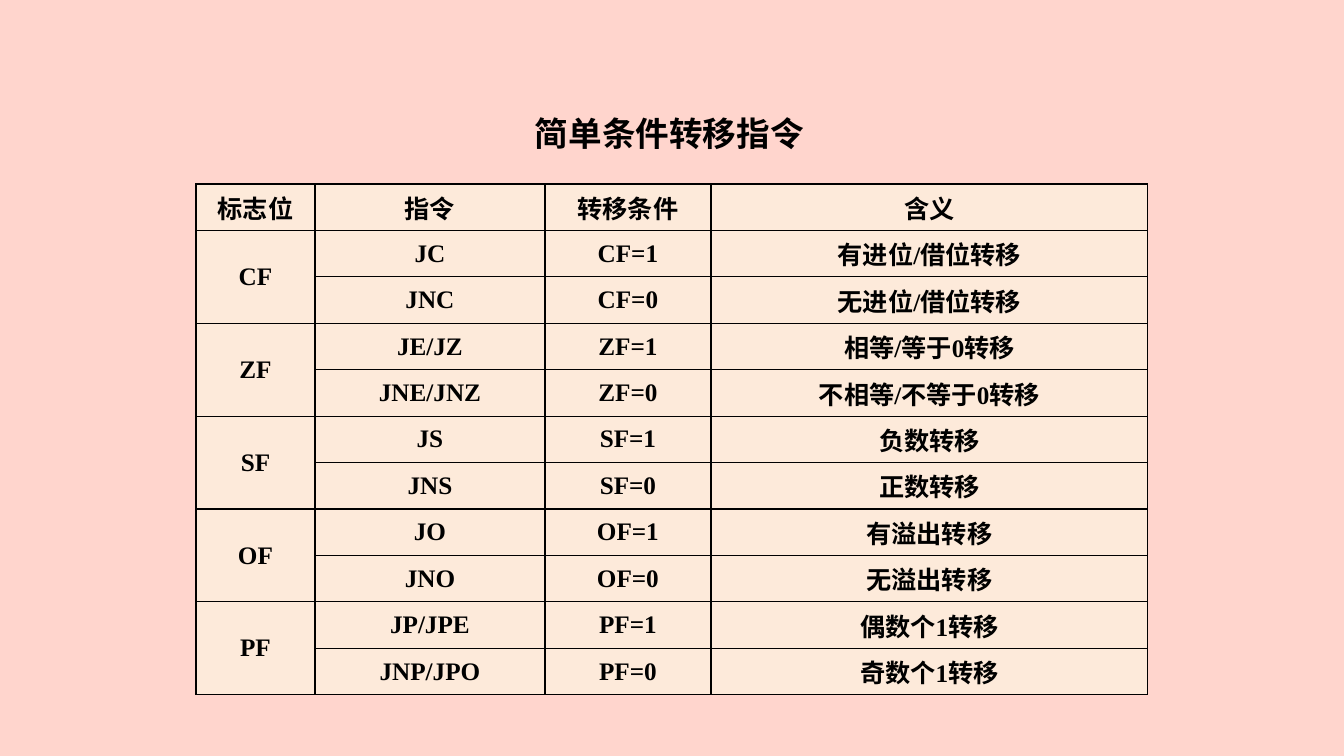
from lxml.etree import SubElement
from pptx import Presentation
from pptx.dml.color import RGBColor
from pptx.enum.text import MSO_ANCHOR, MSO_AUTO_SIZE, PP_ALIGN
from pptx.oxml.ns import qn
from pptx.util import Emu, Pt

EMU_PER_PX = 914400 / 100.8
BLACK = "000000"
PINK = "FFD5CD"
CREAM = "FDEADA"

COLUMN_WIDTHS = [119, 230, 166, 437]
HEADERS = ["标志位", "指令", "转移条件", "含义"]
FLAGS = [
    ("CF", ("JC", "有进位/借位转移"), ("JNC", "无进位/借位转移")),
    ("ZF", ("JE/JZ", "相等/等于0转移"), ("JNE/JNZ", "不相等/不等于0转移")),
    ("SF", ("JS", "负数转移"), ("JNS", "正数转移")),
    ("OF", ("JO", "有溢出转移"), ("JNO", "无溢出转移")),
    ("PF", ("JP/JPE", "偶数个1转移"), ("JNP/JPO", "奇数个1转移")),
]


def px(n):
    return Emu(round(n * EMU_PER_PX))


def rgb(value):
    return RGBColor.from_string(value)


def add_run(p, text, size, font):
    r = p.add_run()
    r.text = text
    r.font.size = Pt(size)
    r.font.name = font
    r.font.bold = True
    r.font.color.rgb = rgb(BLACK)


def add_title(s, text, left, top, width, height):
    tf = s.shapes.add_textbox(px(left), px(top), px(width), px(height)).text_frame
    tf.word_wrap = False
    tf.auto_size = MSO_AUTO_SIZE.SHAPE_TO_FIT_TEXT
    add_run(tf.paragraphs[0], text, 24, "Calibri")


def add_borders(cell):
    tc_pr = cell._tc.get_or_add_tcPr()
    for side in ("lnL", "lnR", "lnT", "lnB"):
        ln = SubElement(tc_pr, qn(f"a:{side}"), w=str(Pt(1)))
        fill = SubElement(ln, qn("a:solidFill"))
        SubElement(fill, qn("a:srgbClr"), val=BLACK)


def style_cell(cell, text):
    add_borders(cell)
    cell.fill.solid()
    cell.fill.fore_color.rgb = rgb(CREAM)
    cell.vertical_anchor = MSO_ANCHOR.MIDDLE
    p = cell.text_frame.paragraphs[0]
    p.alignment = PP_ALIGN.CENTER
    if text:
        add_run(p, text, 18, "Times New Roman")


def table_rows():
    rows = [HEADERS]
    for flag, when_set, when_clear in FLAGS:
        rows.append([flag, when_set[0], f"{flag}=1", when_set[1]])
        rows.append(["", when_clear[0], f"{flag}=0", when_clear[1]])
    return rows


def add_jump_table(s, left, top, height):
    rows = table_rows()
    table = s.shapes.add_table(
        len(rows), len(COLUMN_WIDTHS),
        px(left), px(top), px(sum(COLUMN_WIDTHS)), px(height),
    ).table
    for column, width in zip(table.columns, COLUMN_WIDTHS):
        column.width = px(width)
    for i, row in enumerate(rows):
        for j, text in enumerate(row):
            style_cell(table.cell(i, j), text)
    for i in range(1, len(rows), 2):
        table.cell(i, 0).merge(table.cell(i + 1, 0))


def main():
    prs = Presentation()
    prs.slide_width, prs.slide_height = px(1344), px(756)
    s = prs.slides.add_slide(prs.slide_layouts[6])
    s.background.fill.solid()
    s.background.fill.fore_color.rgb = rgb(PINK)
    add_title(s, "简单条件转移指令", 525, 108, 289, 48)
    add_jump_table(s, 196, 184, 511)
    prs.save("out.pptx")


if __name__ == "__main__":
    main()
